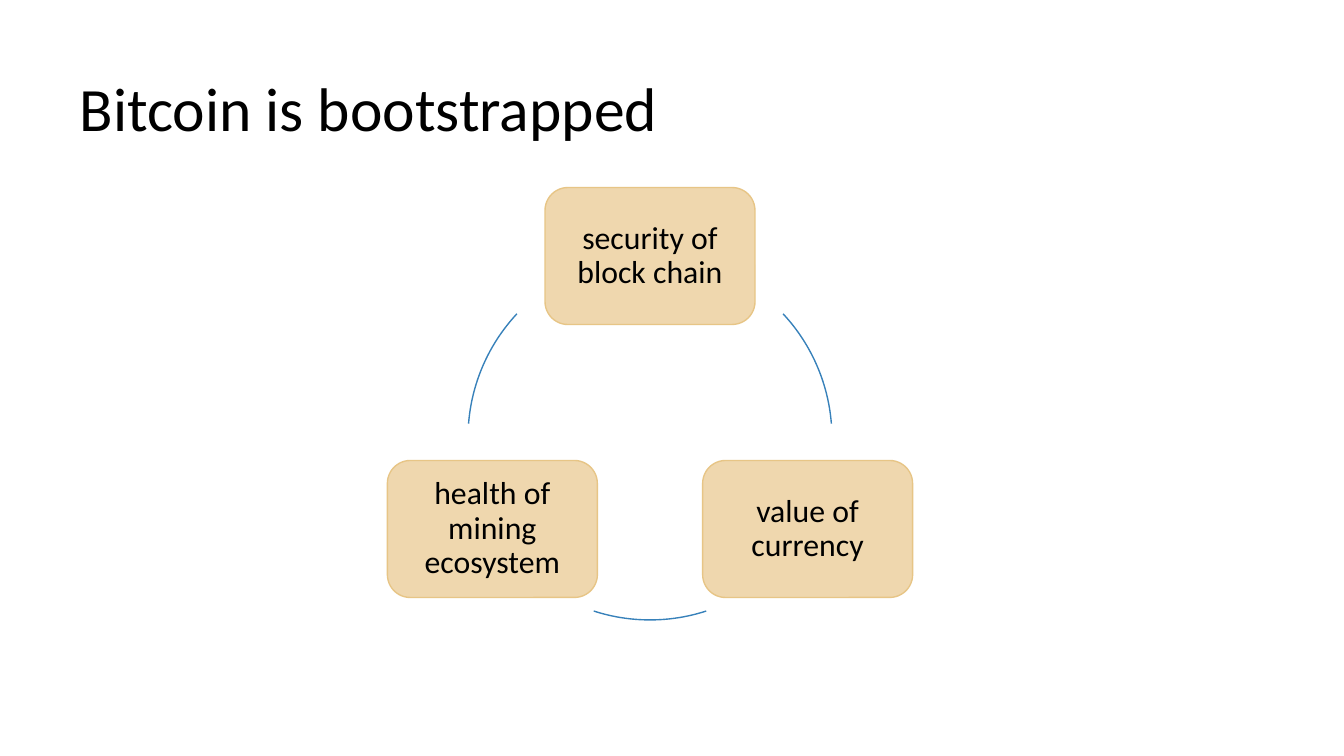
from dataclasses import dataclass
from math import cos, radians, sin

from pptx import Presentation
from pptx.dml.color import RGBColor
from pptx.enum.shapes import MSO_SHAPE
from pptx.enum.text import MSO_ANCHOR, PP_ALIGN
from pptx.util import Pt

EMU_PER_PIXEL = 914400 / 134.4


@dataclass(frozen=True)
class Theme:
    font: str = "Calibri"
    text: str = "000000"
    node_fill: str = "EFD7AE"
    node_line: str = "E7C586"
    arc_line: str = "3781BA"
    title_size: int = 33
    node_size: int = 17
    line_width: float = 0.75


THEME = Theme()


def px(length):
    return round(length * EMU_PER_PIXEL)


def set_attributes(target, values):
    for name, value in values.items():
        setattr(target, name, value)


def write_text(shape, text, size, margin, anchor, paragraph_format):
    frame = shape.text_frame
    sides = ("left", "top", "right", "bottom")
    set_attributes(frame, {f"margin_{side}": px(margin) for side in sides})
    set_attributes(frame, {"word_wrap": True, "vertical_anchor": anchor})
    paragraph = frame.paragraphs[0]
    set_attributes(paragraph, paragraph_format)
    run = paragraph.add_run()
    run.text = text
    set_attributes(run.font, {"name": THEME.font, "size": Pt(size)})
    run.font.color.rgb = RGBColor.from_string(THEME.text)


def add_outlined(slide, kind, box, line_color, adjustments):
    shape = slide.shapes.add_shape(kind, *map(px, box))
    shape.shadow.inherit = False
    shape.line.color.rgb = RGBColor.from_string(line_color)
    shape.line.width = Pt(THEME.line_width)
    for index, value in enumerate(adjustments):
        shape.adjustments[index] = value
    return shape


def add_title(slide, box, text):
    title = slide.shapes.add_textbox(*map(px, box))
    write_text(title, text, THEME.title_size, 13, MSO_ANCHOR.BOTTOM,
               {"alignment": PP_ALIGN.LEFT})


def add_cycle(slide, box, labels, arcs, node_width=210, node_height=137):
    """Spread labelled nodes evenly on the ring that fills the box."""
    left, top, diameter, _ = box
    radius = diameter / 2

    # Nodes, clockwise from the top
    for index, label in enumerate(labels):
        angle = radians(360 * index / len(labels) - 90)
        node_left = left + radius + radius * cos(angle) - node_width / 2
        node_top = top + radius + radius * sin(angle) - node_height / 2
        node = add_outlined(slide, MSO_SHAPE.ROUNDED_RECTANGLE,
                            (node_left, node_top, node_width, node_height),
                            THEME.node_line, [0.167])
        node.fill.solid()
        node.fill.fore_color.rgb = RGBColor.from_string(THEME.node_fill)
        write_text(node, label, THEME.node_size, 9, MSO_ANCHOR.MIDDLE,
                   {"alignment": PP_ALIGN.CENTER, "line_spacing": 0.9,
                    "space_after": Pt(6)})

    # Ring arcs between the nodes; 0.6 adjustment units make one degree
    for angles in arcs:
        arc = add_outlined(slide, MSO_SHAPE.ARC, box, THEME.arc_line,
                           [0.6 * angle for angle in angles])
        arc.fill.background()


presentation = Presentation()
set_attributes(presentation, {"slide_width": px(1344), "slide_height": px(756)})
slide = presentation.slides.add_slide(presentation.slide_layouts[6])

add_title(slide, (67, 31, 1210, 126), "Bitcoin is bootstrapped")
add_cycle(slide, (468, 256, 364, 364),
          ["security of block chain", "value of currency",
           "health of mining ecosystem"],
          [(317, 355.5), (72, 108), (184.5, 223)])

presentation.save("out.pptx")
